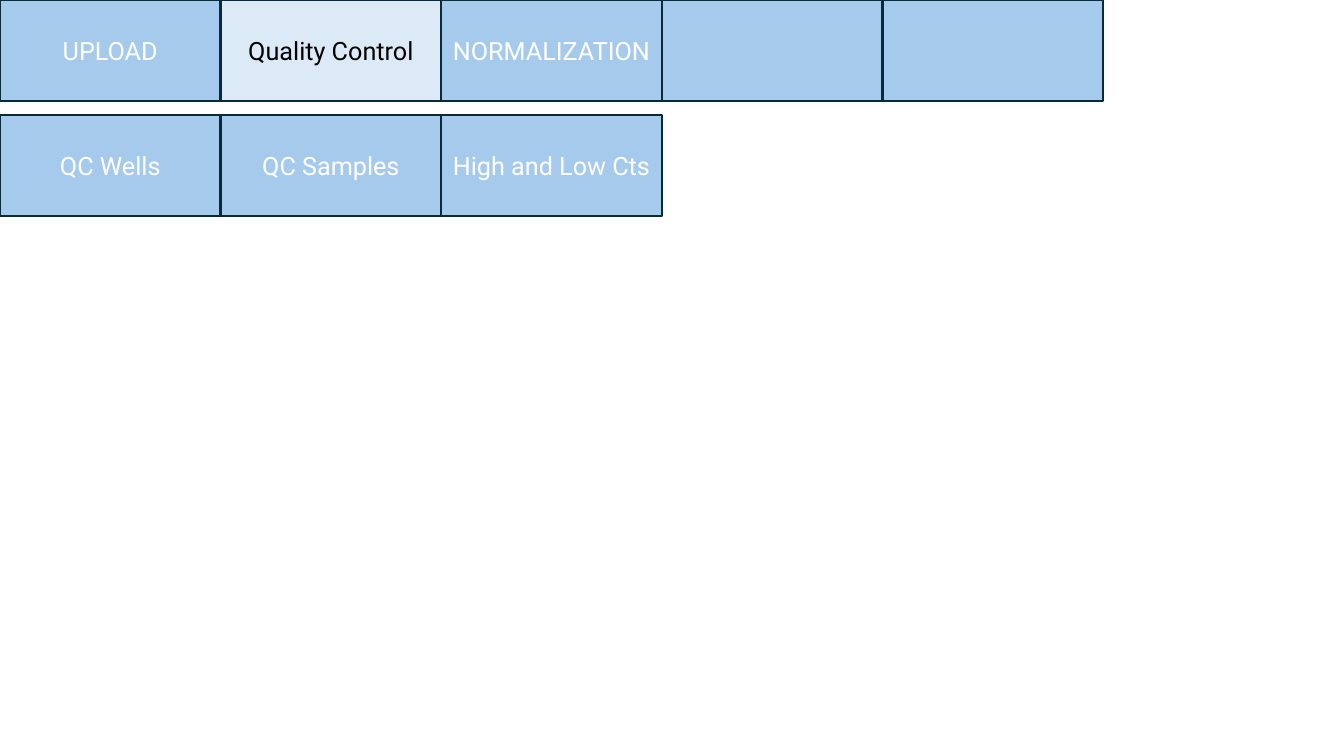
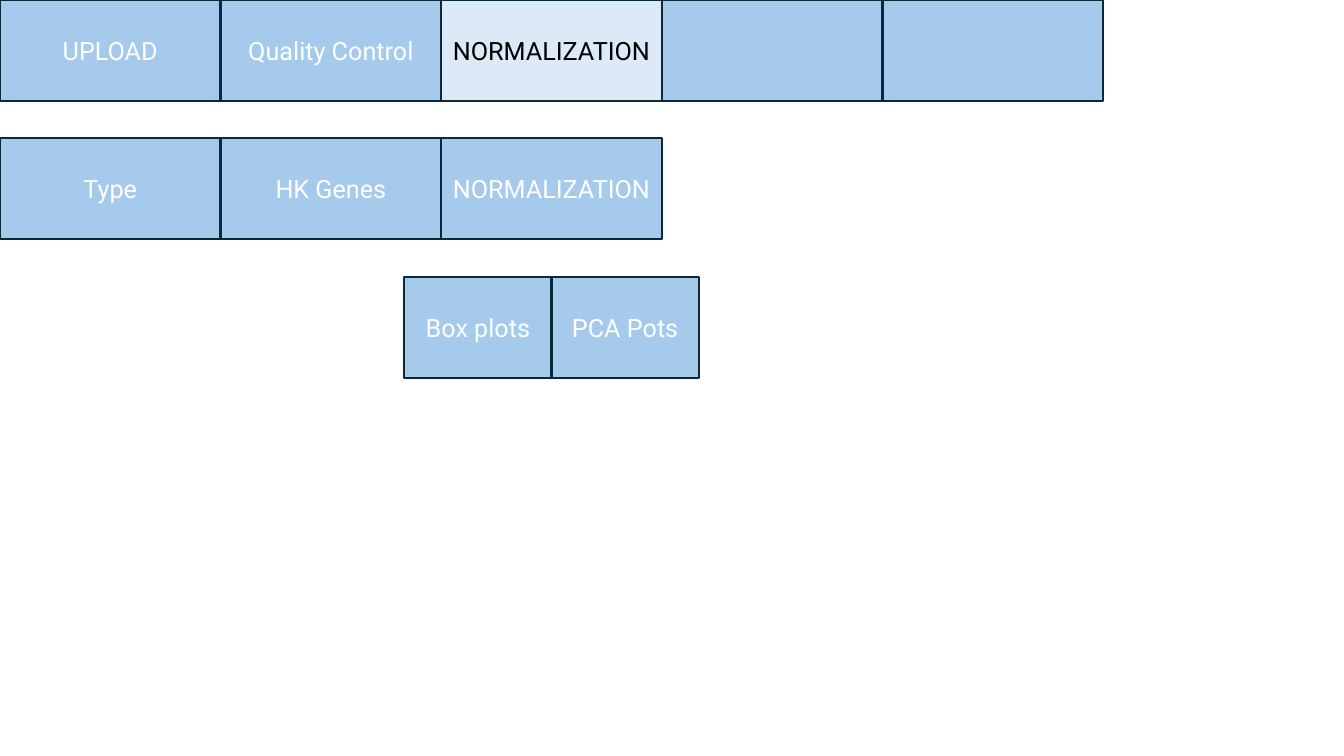
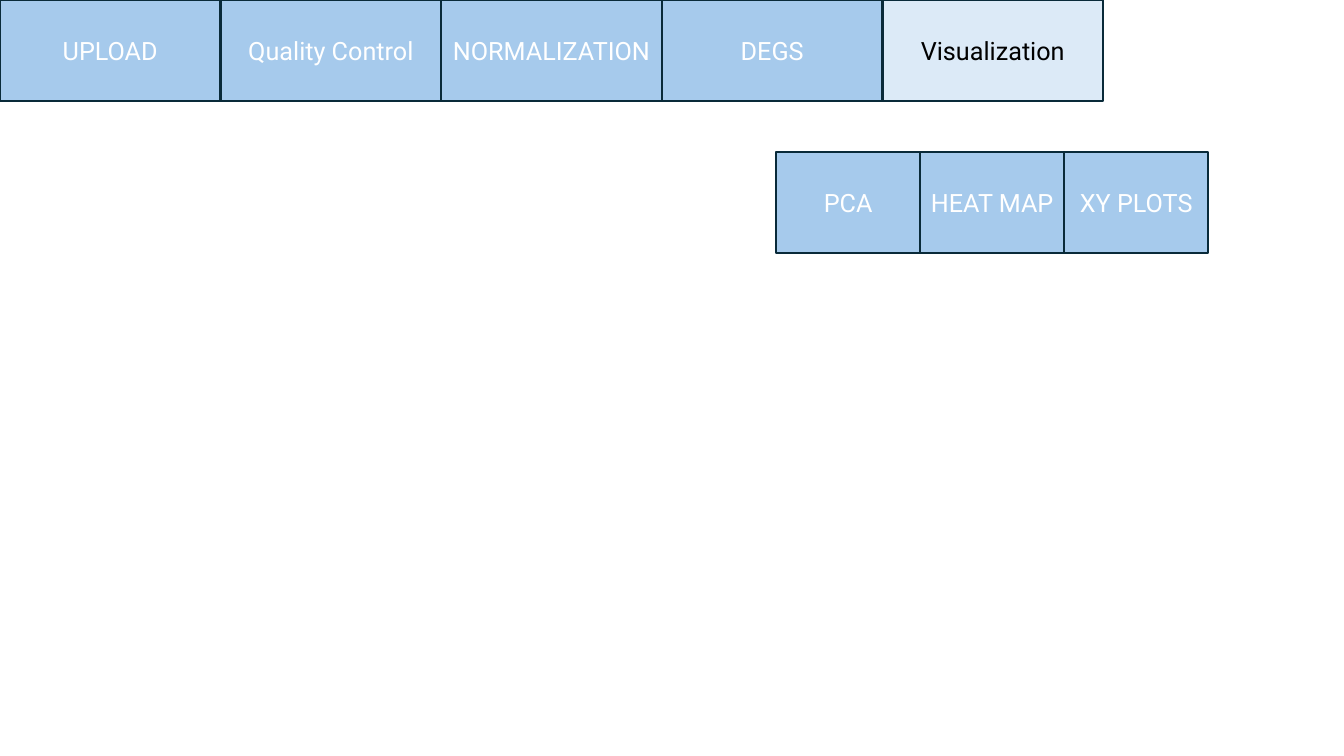
from dataclasses import dataclass

from pptx import Presentation
from pptx.dml.color import RGBColor as Rgb
from pptx.enum.shapes import MSO_SHAPE as Shape
from pptx.enum.text import MSO_ANCHOR as Anchor, PP_ALIGN as Align
from pptx.shapes.autoshape import Shape as Box
from pptx.util import Cm, Pt

# Shared style
BLUE = Rgb(0xA6, 0xCA, 0xEC)
PALE = Rgb(0xDC, 0xEA, 0xF7)
NAVY = Rgb(0x09, 0x2A, 0x39)
WHITE = Rgb(0xFF, 0xFF, 0xFF)
BLACK = Rgb(0x00, 0x00, 0x00)
FONT = "Roboto"
WIDE = 5.56
HIGH = 2.54
STEPS = ("UPLOAD", "Quality Control", "NORMALIZATION")
BLANK = 6


@dataclass(frozen=True)
class Row:
    """A strip of adjoining tabs; lengths in centimetres."""
    tabs: tuple[str, ...]
    left: float = 0
    top: float = 0
    width: float = WIDE
    active: str = ""
    group: bool = False


@dataclass(frozen=True)
class Page:
    rows: tuple[Row, ...]


# Menu of each slide, then its submenus
PAGES = (
    Page((
        Row(STEPS + ("", ""), active="Quality Control"),
        Row(("QC Wells", "QC Samples", "High and Low Cts"), top=2.9),
    )),
    Page((
        Row(STEPS + ("", ""), active="NORMALIZATION"),
        Row(("Type", "HK Genes", "NORMALIZATION"), top=3.48),
        Row(("Box plots", "PCA Pots"), left=10.19, top=6.99, width=3.71,
            group=True),
    )),
    Page((
        Row(STEPS + ("DEGS", "Visualization"), active="Visualization"),
        Row(("PCA", "HEAT MAP", "XY PLOTS"), left=19.56, top=3.84,
            width=3.63, group=True),
    )),
)


def write(box: Box, text: str, *, color: Rgb, size: float = 18,
          align: Align = Align.CENTER) -> None:
    frame = box.text_frame
    frame.word_wrap = True
    frame.vertical_anchor = Anchor.MIDDLE
    para = frame.paragraphs[0]
    para.alignment = align
    run = para.add_run()
    run.text = text
    run.font.name = FONT
    run.font.size = Pt(size)
    run.font.color.rgb = color


def draw_row(slide, row: Row) -> None:
    shapes = slide.shapes.add_group_shape().shapes if row.group else slide.shapes
    for col, text in enumerate(row.tabs):
        is_on = bool(text) and text == row.active
        tab = shapes.add_shape(
            Shape.RECTANGLE, Cm(row.left + col * row.width), Cm(row.top),
            Cm(row.width), Cm(HIGH))
        tab.shadow.inherit = False
        tab.fill.solid()
        tab.fill.fore_color.rgb = PALE if is_on else BLUE
        tab.line.color.rgb = NAVY
        tab.line.width = Pt(1.5)
        if text:
            write(tab, text, color=BLACK if is_on else WHITE)


def main() -> None:
    deck = Presentation()
    deck.slide_width, deck.slide_height = Cm(33.87), Cm(19.05)
    for page in PAGES:
        slide = deck.slides.add_slide(deck.slide_layouts[BLANK])
        for row in page.rows:
            draw_row(slide, row)
    deck.save("out.pptx")


if __name__ == "__main__":
    main()
